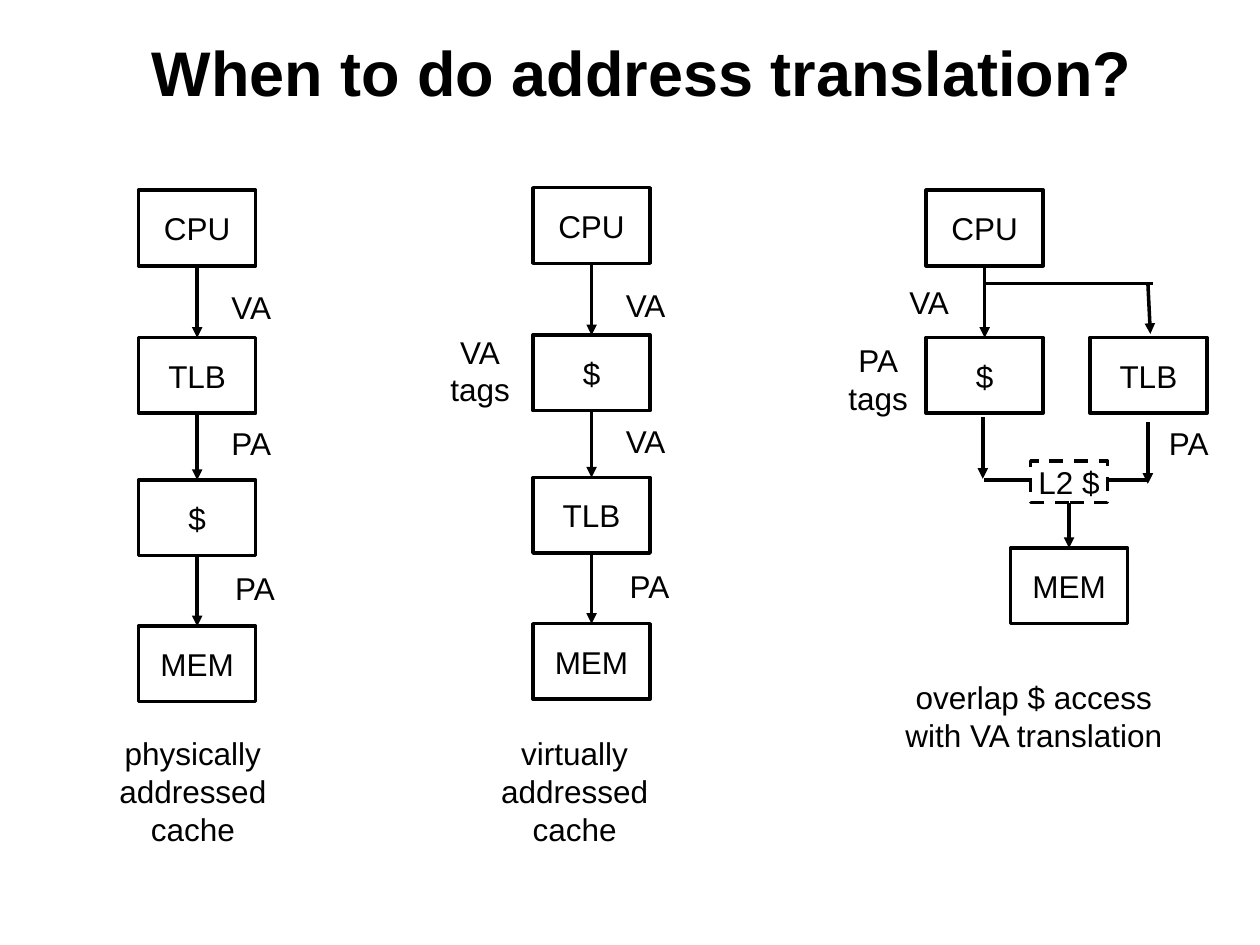
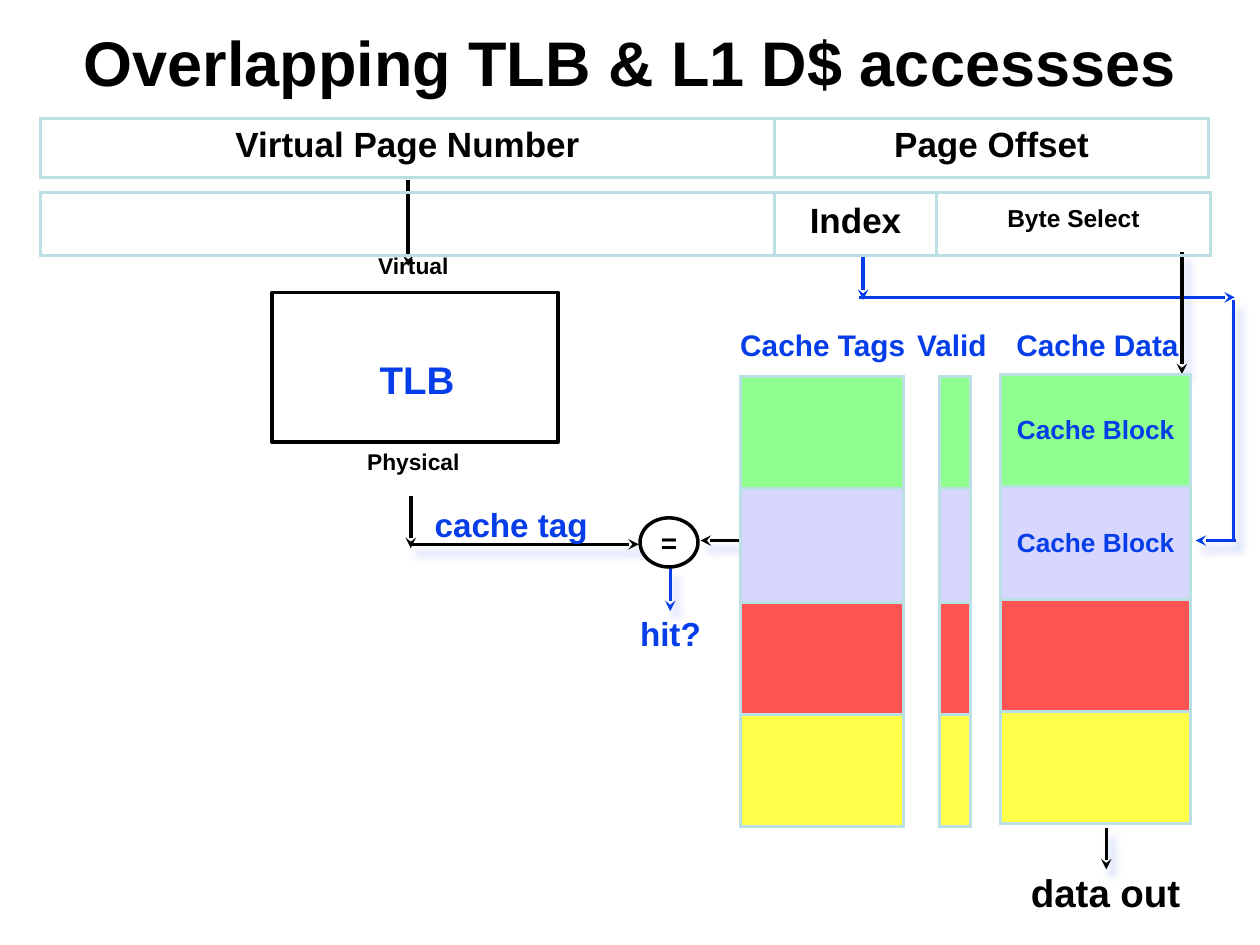
from dataclasses import dataclass

from lxml.etree import SubElement
from pptx import Presentation
from pptx.dml.color import RGBColor
from pptx.enum.dml import MSO_LINE
from pptx.enum.shapes import MSO_CONNECTOR, MSO_SHAPE
from pptx.enum.text import MSO_ANCHOR, PP_ALIGN
from pptx.oxml.ns import qn
from pptx.util import Inches, Pt


@dataclass(frozen=True)
class Theme:
    font: str = "Arial"
    black: str = "000000"
    white: str = "FFFFFF"
    blue: str = "053DE8"
    grid: str = "BBE0E3"
    sets: tuple = ("8EFF8E", "D6D6FF", "FF5454", "FFFF49")
    title: int = 36
    body: int = 18
    head: int = 17
    out: int = 22
    tag: int = 19
    field: int = 20
    small: int = 14
    block: int = 15
    equal: int = 16
    port: int = 13
    line: int = 2


T = Theme()

# Slide 1: three ways to order cache and translation
BOX = (0.93, 0.6)
LABEL = (0.53, 0.4)
TAGS = (0.68, 0.7)
TOPS = (1.51, 2.68, 3.81, 4.97)
STEPS = ((0.63, 2.24), (0.63, 3.32), (0.66, 4.47))  # label offset from stack, top
STACKS = [
    # left, rise, boxes, arrow labels
    (1.1, 0, ("CPU", "TLB", "$", "MEM"), ("VA", "PA", "PA")),
    (4.23, 0.02, ("CPU", "$", "TLB", "MEM"), ("VA", "VA", "PA")),
]
OVERLAP = {"CPU": (7.35, 1.51), "$": (7.35, 2.68), "TLB": (8.65, 2.68), "MEM": (8.02, 4.35)}
LINKS = [
    # from, to, arrow
    ((9.11, 2.24), (9.13, 2.65), True),
    ((7.8, 2.25), (9.15, 2.25), False),
    ((7.8, 3.31), (7.8, 3.8), True),
    ((9.11, 3.35), (9.11, 3.84), True),
    ((7.81, 3.81), (9.12, 3.81), False),
]
NOTES = [
    ("VA\ntags", (3.47, 2.59, *TAGS)),
    ("PA\ntags", (6.63, 2.66, *TAGS)),
    ("VA", (7.11, 2.2, *LABEL)),
    ("PA", (9.17, 3.32, *LABEL)),
    ("physically\naddressed\ncache", (0.84, 5.78, 1.38, 1.01)),
    ("virtually\naddressed\ncache", (3.87, 5.78, 1.38, 1.01)),
    ("overlap $ access\nwith VA translation", (7.04, 5.33, 2.33, 0.7)),
]

# Slide 2: TLB lookup beside the cache lookup
CELL = (T.field, T.black, 19)
BLOCK = (T.block, T.blue, None)
FIELDS = [
    # place, columns, cells of (text, size, colour, line pitch)
    ((0.32, 0.94), (5.83, 3.44), 0.47,
     [("Virtual Page Number", *CELL), ("Page Offset", *CELL)]),
    ((0.32, 1.53), (5.83, 1.28, 2.18), 0.5,
     [("", *CELL), ("Index", *CELL), ("Byte Select", T.small, T.black, 10)]),
]
BANKS = [
    # left, top, width, text of each set
    (7.94, 2.97, 1.51, ("Cache Block", "Cache Block", "", "")),
    (5.88, 2.99, 1.29, ("",) * 4),
    (7.46, 2.99, 0.24, ("",) * 4),
]
SETS = (0.89, 0.9, 0.89, 0.89)
WORDS = [
    # text, place, size, colour, line pitch, centred
    ("Valid", (7.06, 2.59, 0.99, 0.29), T.head, T.blue, None, True),
    ("Cache Tags", (5.67, 2.59, 1.72, 0.29), T.head, T.blue, None, True),
    ("Cache Data", (7.85, 2.59, 1.72, 0.29), T.head, T.blue, None, True),
    ("data out", (7.73, 6.9, 2.09, 0.37), T.out, T.black, None, True),
    ("TLB", (2.91, 2.89, 0.8, 0.31), T.out, T.blue, 22, True),
    ("Virtual", (2.9, 2.12, 0.76, 0.11), T.port, T.black, 7, True),
    ("Physical", (2.81, 3.67, 0.94, 0.11), T.port, T.black, 7, True),
    ("hit?", (5.08, 4.87, 0.56, 0.32), T.tag, T.blue, None, False),
    ("cache tag", (3.45, 4, 1.4, 0.32), T.tag, T.blue, None, False),
]
WIRES = [
    # from, to, colour, arrow, shadow
    ((6.85, 2.04), (6.85, 2.38), T.blue, True, False),
    ((6.82, 2.36), (9.8, 2.36), T.blue, True, False),
    ((9.79, 2.38), (9.79, 4.28), T.blue, False, True),
    ((9.81, 4.29), (9.49, 4.29), T.blue, True, True),
    ((8.78, 6.57), (8.78, 6.9), T.black, True, True),
    ((9.38, 2), (9.38, 2.97), T.black, True, True),
    ((3.24, 1.43), (3.24, 2.11), T.black, True, False),
    ((5.88, 4.29), (5.56, 4.29), T.black, True, True),
    ((5.32, 4.51), (5.32, 4.85), T.blue, True, True),
    ((3.26, 3.94), (3.26, 4.35), T.black, True, False),
    ((3.25, 4.32), (5.07, 4.32), T.black, True, True),
]


def rgb(code):
    return RGBColor.from_string(code)


def inches(vals):
    return [Inches(v) for v in vals]


def write(frame, words, size, color=T.black, bold=False, pitch=None, mid=True):
    """Fill a text frame, one paragraph per line of words."""
    frame.text = words
    for para in frame.paragraphs:
        para.alignment = PP_ALIGN.CENTER if mid else PP_ALIGN.LEFT
        if pitch:
            para.line_spacing = pitch
        font = para.font
        font.name, font.size, font.bold = T.font, Pt(size), bold
        font.color.rgb = rgb(color)


def label(slide, words, place, size, **style):
    """Add a text box with the usual insets that does not wrap."""
    frame = slide.shapes.add_textbox(*inches(place)).text_frame
    frame.word_wrap = False
    write(frame, words, size, **style)
    return frame


def caption(slide, words, place, size, color, pitch, mid):
    """Add a bold text box without insets."""
    frame = label(slide, words, place, size, color=color, bold=True,
                  pitch=pitch and Pt(pitch), mid=mid)
    frame.word_wrap = True
    frame.margin_left = frame.margin_right = frame.margin_top = frame.margin_bottom = 0


def title(slide, words, place, pitch=None):
    frame = label(slide, words, place, T.title, bold=True, pitch=pitch)
    frame.vertical_anchor = MSO_ANCHOR.MIDDLE


def box(slide, words, place, kind=MSO_SHAPE.RECTANGLE, fill=T.white, size=T.body, bold=False):
    shape = slide.shapes.add_shape(kind, *inches(place))
    shape.shadow.inherit = False
    if fill:
        shape.fill.solid()
        shape.fill.fore_color.rgb = rgb(fill)
    else:
        shape.fill.background()
    shape.line.color.rgb = rgb(T.black)
    shape.line.width = Pt(T.line)
    if words:
        frame = shape.text_frame
        frame.word_wrap = False
        frame.vertical_anchor = MSO_ANCHOR.MIDDLE
        write(frame, words, size, bold=bold)
    return shape


def wire(slide, start, end, color=T.black, tip=None, shade=False):
    line = slide.shapes.add_connector(MSO_CONNECTOR.STRAIGHT, *inches((*start, *end)))
    line.line.color.rgb = rgb(color)
    line.line.width = Pt(T.line)
    if tip:
        SubElement(line.line._get_or_add_ln(), qn("a:tailEnd"), type=tip)
    glow = SubElement(line._element.spPr, qn("a:effectLst"))
    if shade:
        drop = SubElement(glow, qn("a:outerShdw"), blurRad=str(Pt(5)), dist=str(Pt(6)),
                          dir=str(57 * 60000), algn="ctr", rotWithShape="0")
        tint = SubElement(drop, qn("a:srgbClr"), val=T.blue)
        SubElement(tint, qn("a:alpha"), val="25000")
    return line


def join(slide, upper, lower):
    """Run an arrow from the bottom of one box to the top of the next."""
    line = wire(slide, (0, 0), (1, 1), tip="triangle")
    line.begin_connect(upper, 2)
    line.end_connect(lower, 0)


def edge(cell):
    props = cell._tc.get_or_add_tcPr()
    for side in ("lnL", "lnR", "lnT", "lnB"):
        line = SubElement(props, qn(f"a:{side}"), w=str(Pt(T.line)))
        SubElement(SubElement(line, qn("a:solidFill")), qn("a:srgbClr"), val=T.grid)


def grid(slide, place, cols, rows, cells, fills):
    """Add a ruled table; cells and fills run row by row."""
    size = (sum(cols), sum(rows))
    table = slide.shapes.add_table(len(rows), len(cols), *inches((*place, *size))).table
    table.first_row = table.horz_banding = False
    for col, width in zip(table.columns, cols):
        col.width = Inches(width)
    for row, height in zip(table.rows, rows):
        row.height = Inches(height)
    for cell, (words, points, color, pitch), fill in zip(table.iter_cells(), cells, fills):
        edge(cell)
        if fill:
            cell.fill.solid()
            cell.fill.fore_color.rgb = rgb(fill)
        else:
            cell.fill.background()
        cell.vertical_anchor = MSO_ANCHOR.MIDDLE
        if words:
            write(cell.text_frame, words, points, color, True, pitch and Pt(pitch))


def orders(slide):
    title(slide, "When to do address translation?", (0.97, 0, 8.25, 1.25), 0.8)
    for left, rise, names, marks in STACKS:
        parts = [box(slide, name, (left, top - rise, *BOX)) for name, top in zip(names, TOPS)]
        for upper, lower in zip(parts, parts[1:]):
            join(slide, upper, lower)
        for mark, (shift, top) in zip(marks, STEPS):
            label(slide, mark, (left + shift, top - rise, *LABEL), T.body)
    for start, end, arrow in LINKS:
        wire(slide, start, end, tip="triangle" if arrow else None)
    parts = {name: box(slide, name, (*spot, *BOX)) for name, spot in OVERLAP.items()}
    level = box(slide, "L2 $", (8.18, 3.66, 0.61, 0.33))
    level.line.dash_style = MSO_LINE.DASH
    join(slide, parts["CPU"], parts["$"])
    join(slide, level, parts["MEM"])
    for words, place in NOTES:
        label(slide, words, place, T.body)


def lookup(slide):
    title(slide, "Overlapping TLB & L1 D$ accessses", (0, 0.04, 10, 0.89))
    for start, end, color, arrow, shade in WIRES:
        wire(slide, start, end, color, "stealth" if arrow else None, shade)
    box(slide, "", (2.16, 2.32, 2.27, 1.19), fill=None)
    box(slide, "=", (5.08, 4.11, 0.46, 0.39), MSO_SHAPE.OVAL, None, T.equal, True)
    for word in WORDS:
        caption(slide, *word)
    for place, cols, height, cells in FIELDS:
        grid(slide, place, cols, (height,), cells, (None,) * len(cols))
    for left, top, width, names in BANKS:
        grid(slide, (left, top), (width,), SETS, [(name, *BLOCK) for name in names], T.sets)


def main():
    deck = Presentation()
    deck.slide_width, deck.slide_height = Inches(10), Inches(7.5)
    for draw in (orders, lookup):
        draw(deck.slides.add_slide(deck.slide_layouts[6]))
    deck.save("out.pptx")


if __name__ == "__main__":
    main()
